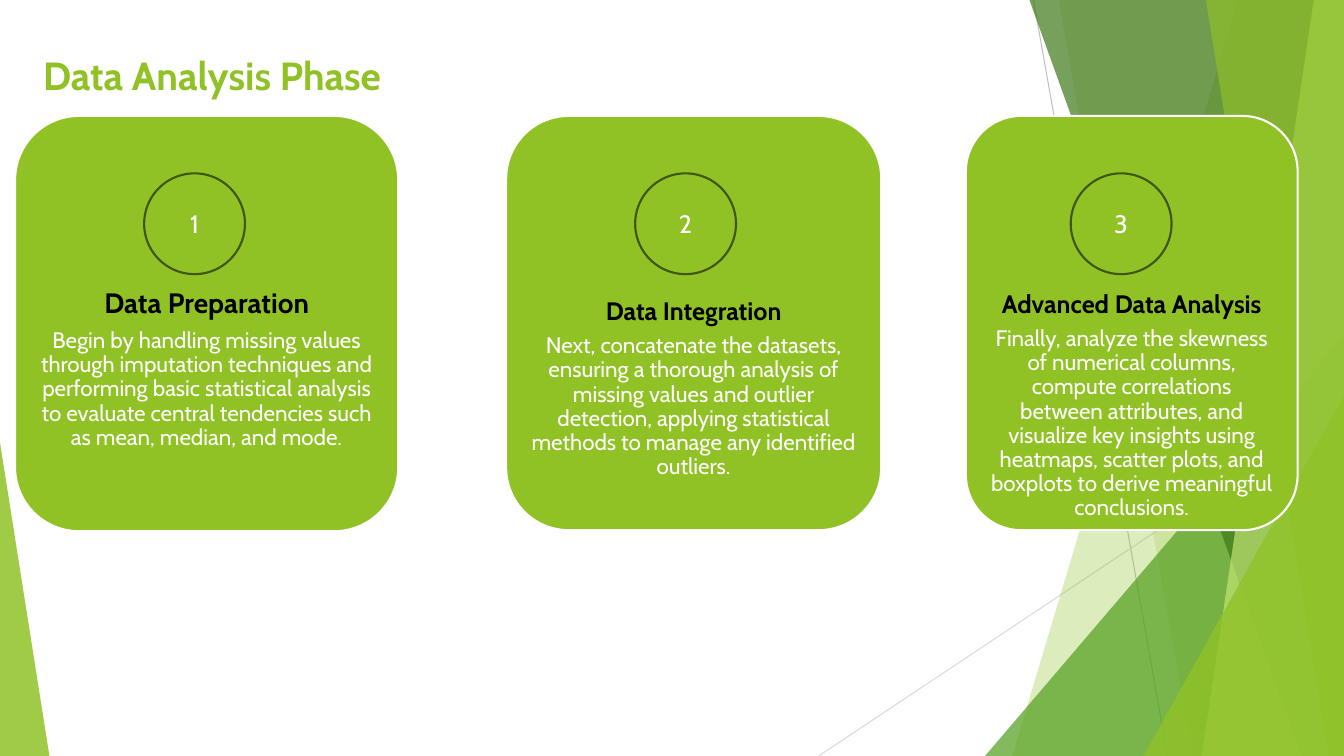
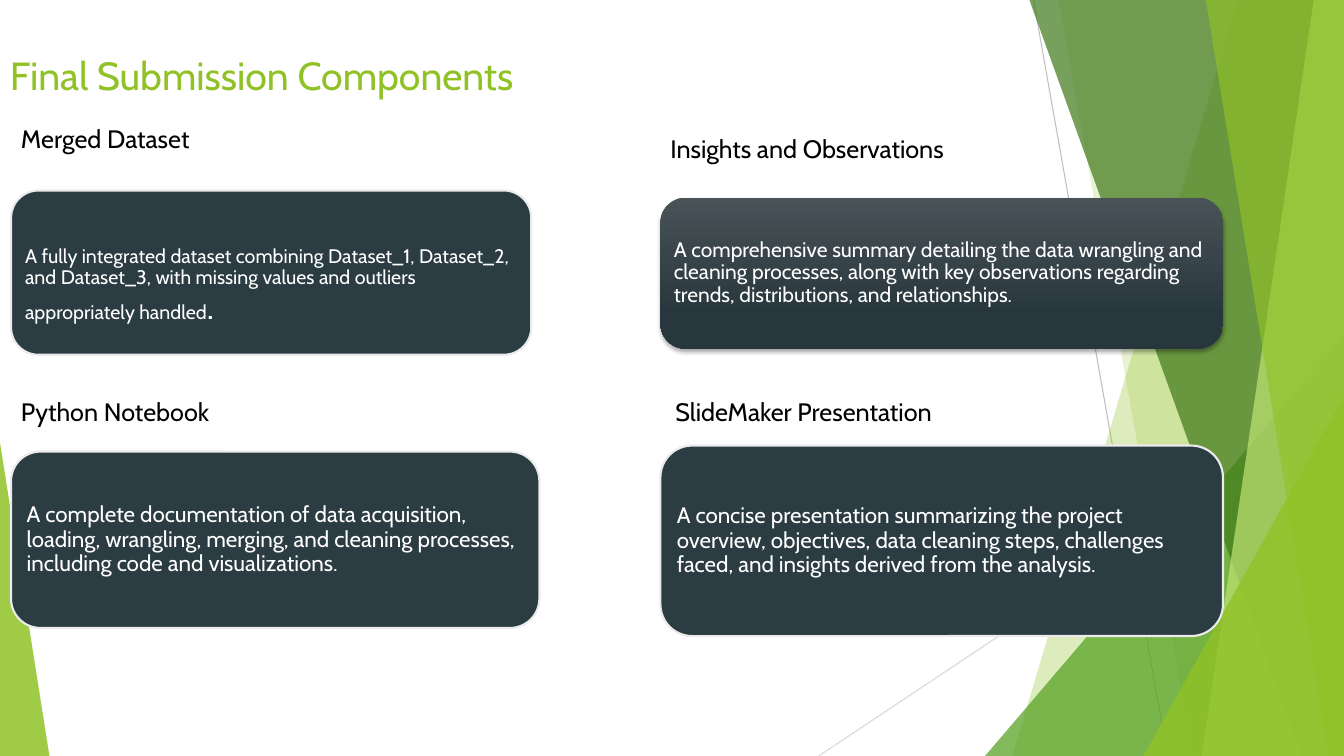
from dataclasses import dataclass
from typing import NamedTuple

from lxml.etree import SubElement
from pptx import Presentation
from pptx.dml.color import RGBColor
from pptx.enum.shapes import MSO_CONNECTOR, MSO_SHAPE
from pptx.enum.text import MSO_ANCHOR, PP_ALIGN
from pptx.oxml.ns import qn
from pptx.util import Pt

EMU_PER_PX = 9144
SLIDE_WIDTH, SLIDE_HEIGHT = 1333, 750


@dataclass(frozen=True)
class Theme:
    font: str = "Cabin"
    green: str = "90C226"
    leaf: str = "54A021"
    forest: str = "3F7819"
    lime: str = "C0E474"
    olive: str = "3F5511"
    slate: str = "2C3C43"
    slate_light: str = "495257"
    slate_dark: str = "28373D"
    panel_edge: str = "EBEBEB"
    ray_dark: str = "BFBFBF"
    ray_light: str = "D9D9D9"
    white: str = "FFFFFF"
    black: str = "000000"
    title_size: int = 28
    lead_size: int = 20
    heading_size: int = 18
    body_size: int = 16
    compact_size: int = 15
    small_size: int = 14
    full_stop_size: int = 25
    outline: float = 1.5
    hairline: float = 0.75
    line_spacing: float = 0.9
    space_after: float = 0.35


class Box(NamedTuple):
    left: int
    top: int
    width: int
    height: int


THEME = Theme()


def px(length):
    return int(length * EMU_PER_PX)


def rgb(color):
    return RGBColor.from_string(color)


def write_text(paragraph, text, *, size, color, bold=False, align=PP_ALIGN.LEFT,
               spacing=None, after=0):
    paragraph.alignment = align
    paragraph.space_after = Pt(after)
    if spacing:
        paragraph.line_spacing = spacing
    run = paragraph.add_run()
    run.text = text
    run.font.name = THEME.font
    run.font.size = Pt(size)
    run.font.bold = bold
    run.font.color.rgb = rgb(color)


def prepare_frame(shape, anchor, margins):
    frame = shape.text_frame
    frame.word_wrap = True
    frame.vertical_anchor = anchor
    (frame.margin_left, frame.margin_top,
     frame.margin_right, frame.margin_bottom) = [px(margin) for margin in margins]
    return frame


def add_text_box(slide, box, margins=(10, 5, 10, 5)):
    shape = slide.shapes.add_textbox(*map(px, box))
    return prepare_frame(shape, MSO_ANCHOR.TOP, margins)


def add_label(slide, box, text, **text_format):
    frame = add_text_box(slide, box)
    write_text(frame.paragraphs[0], text, **text_format)


def paint(shape, color, line=None, opacity=None):
    shape.shadow.inherit = False
    shape.fill.solid()
    shape.fill.fore_color.rgb = rgb(color)
    if opacity is not None:
        fill_color = shape.element.spPr.find(qn("a:solidFill"))[0]
        SubElement(fill_color, qn("a:alpha"), val=str(opacity * 1000))
    if line:
        shape.line.color.rgb = rgb(line)
        shape.line.width = Pt(THEME.outline)
    else:
        shape.line.fill.background()


def add_block(slide, kind, box, color, line=None, opacity=None):
    shape = slide.shapes.add_shape(kind, *map(px, box))
    paint(shape, color, line, opacity)
    return shape


def add_ray(slide, start, end, color):
    ray = slide.shapes.add_connector(
        MSO_CONNECTOR.STRAIGHT, *map(px, start), *map(px, end))
    ray.line.color.rgb = rgb(color)
    ray.line.width = Pt(THEME.hairline)
    SubElement(ray.element.spPr, qn("a:effectLst"))


def add_band(slide, top_x, bottom_x, color, opacity):
    builder = slide.shapes.build_freeform(top_x, 0, scale=EMU_PER_PX)
    builder.add_line_segments([
        (SLIDE_WIDTH, 0), (SLIDE_WIDTH, SLIDE_HEIGHT), (bottom_x, SLIDE_HEIGHT)])
    paint(builder.convert_to_shape(), color, opacity=opacity)


def add_corner(slide, left, top, width, apex, color, opacity):
    box = Box(left, top, width, SLIDE_HEIGHT - top)
    triangle = add_block(slide, MSO_SHAPE.ISOSCELES_TRIANGLE, box, color, opacity=opacity)
    triangle.adjustments[0] = apex


def add_backdrop(slide):
    add_ray(slide, (1025, 0), (1158, SLIDE_HEIGHT), THEME.ray_dark)
    add_ray(slide, (SLIDE_WIDTH, 403), (812, SLIDE_HEIGHT), THEME.ray_light)
    add_band(slide, 1228, 1004, THEME.green, 30)
    add_band(slide, 1050, 1183, THEME.green, 20)
    add_corner(slide, 977, 333, 356, 1, THEME.leaf, 72)
    add_band(slide, 1021, 1291, THEME.forest, 70)
    add_band(slide, 1303, 1192, THEME.lime, 70)
    add_band(slide, 1196, 1318, THEME.green, 65)
    add_corner(slide, 1134, 393, 199, 1, THEME.green, 80)
    add_corner(slide, 0, 439, 49, 0, THEME.green, 85)


def add_slide(presentation, title, left, bold=False):
    slide = presentation.slides.add_slide(presentation.slide_layouts[6])
    add_backdrop(slide)
    add_label(slide, Box(left, 46, 667, 57), title,
              size=THEME.title_size, color=THEME.green, bold=bold)
    return slide


def add_phase_card(slide, box, number, heading, body, *, circle_left, text_top,
                   heading_size=THEME.heading_size):
    add_block(slide, MSO_SHAPE.ROUNDED_RECTANGLE, box, THEME.green, THEME.white)
    side = 23
    text_box = Box(box.left + side, box.top + text_top,
                   box.width - 2 * side, box.height - text_top)
    frame = add_text_box(slide, text_box, (0, 0, 0, 0))
    shared = {"align": PP_ALIGN.CENTER, "spacing": THEME.line_spacing}
    write_text(frame.paragraphs[0], heading, size=heading_size, color=THEME.black,
               bold=True, after=heading_size * THEME.space_after, **shared)
    write_text(frame.add_paragraph(), body, size=THEME.body_size,
               color=THEME.white, **shared)
    circle_box = Box(box.left + circle_left, box.top + 57, 100, 100)
    circle = add_block(slide, MSO_SHAPE.OVAL, circle_box, THEME.green, THEME.olive)
    circle_frame = prepare_frame(circle, MSO_ANCHOR.MIDDLE, (10, 5, 10, 5))
    write_text(circle_frame.paragraphs[0], str(number), size=THEME.heading_size,
               color=THEME.white, align=PP_ALIGN.CENTER)


def shade_panel(panel):
    panel.fill.gradient()
    panel.fill.gradient_angle = 270
    first, last = panel.fill.gradient_stops
    first.color.rgb, first.position = rgb(THEME.slate_light), 0
    last.color.rgb, last.position = rgb(THEME.slate_dark), 0.78
    panel.line.fill.background()
    effects = panel.element.spPr.find(qn("a:effectLst"))
    shadow = SubElement(effects, qn("a:outerShdw"), blurRad=str(Pt(3)),
                        dist=str(Pt(2)), dir="5400000", rotWithShape="0")
    color = SubElement(shadow, qn("a:srgbClr"), val=THEME.black)
    SubElement(color, qn("a:alpha"), val="35000")


def add_component(slide, box, heading, heading_box, runs, *, inset=7, drop=0,
                  shaded=False):
    panel = add_block(slide, MSO_SHAPE.ROUNDED_RECTANGLE, box,
                      THEME.slate, THEME.panel_edge)
    if shaded:
        shade_panel(panel)
    frame = prepare_frame(panel, MSO_ANCHOR.MIDDLE, (inset, inset + drop, inset, inset))
    for text, size in runs:
        write_text(frame.paragraphs[0], text, size=size, color=THEME.white,
                   spacing=THEME.line_spacing)
    add_label(slide, heading_box, heading, size=THEME.heading_size, color=THEME.black)


def build_phase_slide(presentation):
    slide = add_slide(presentation, "Data Analysis Phase", 33, bold=True)
    add_phase_card(
        slide, Box(15, 115, 380, 412), 1, "Data Preparation",
        "Begin by handling missing values through imputation techniques and performing "
        "basic statistical analysis to evaluate central tendencies such as mean, "
        "median, and mode.",
        circle_left=128, text_top=172, heading_size=THEME.lead_size)
    add_phase_card(
        slide, Box(502, 115, 372, 411), 2, "Data Integration",
        "Next, concatenate the datasets, ensuring a thorough analysis of missing values "
        "and outlier detection, applying statistical methods to manage any identified "
        "outliers.",
        circle_left=128, text_top=181)
    add_phase_card(
        slide, Box(958, 115, 329, 411), 3, "Advanced Data Analysis",
        "Finally, analyze the skewness of numerical columns, compute correlations between "
        "attributes, and visualize key insights using heatmaps, scatter plots, and "
        "boxplots to derive meaningful conclusions.",
        circle_left=104, text_top=174)


def build_submission_slide(presentation):
    slide = add_slide(presentation, "Final Submission Components", 0)
    add_component(
        slide, Box(11, 189, 516, 163), "Merged Dataset", Box(11, 117, 501, 40),
        [("A fully integrated dataset combining Dataset_1, Dataset_2, and Dataset_3, "
          "with missing values and outliers appropriately handled", THEME.small_size),
         (".", THEME.full_stop_size)],
        inset=6, drop=28)
    add_component(
        slide, Box(655, 196, 558, 150), "Insights and Observations",
        Box(655, 127, 548, 40),
        [("A comprehensive summary detailing the data wrangling and cleaning processes, "
          "along with key observations regarding trends, distributions, and "
          "relationships.", THEME.compact_size)],
        inset=6, shaded=True)
    add_component(
        slide, Box(11, 448, 524, 175), "Python Notebook", Box(11, 388, 516, 40),
        [("A complete documentation of data acquisition, loading, wrangling, merging, "
          "and cleaning processes, including code and visualizations.",
          THEME.body_size)])
    add_component(
        slide, Box(655, 442, 558, 189), "SlideMaker Presentation",
        Box(660, 388, 547, 40),
        [("A concise presentation summarizing the project overview, objectives, data "
          "cleaning steps, challenges faced, and insights derived from the analysis.",
          THEME.body_size)])


def main():
    presentation = Presentation()
    presentation.slide_width = px(SLIDE_WIDTH)
    presentation.slide_height = px(SLIDE_HEIGHT)
    build_phase_slide(presentation)
    build_submission_slide(presentation)
    presentation.save("out.pptx")


if __name__ == "__main__":
    main()
